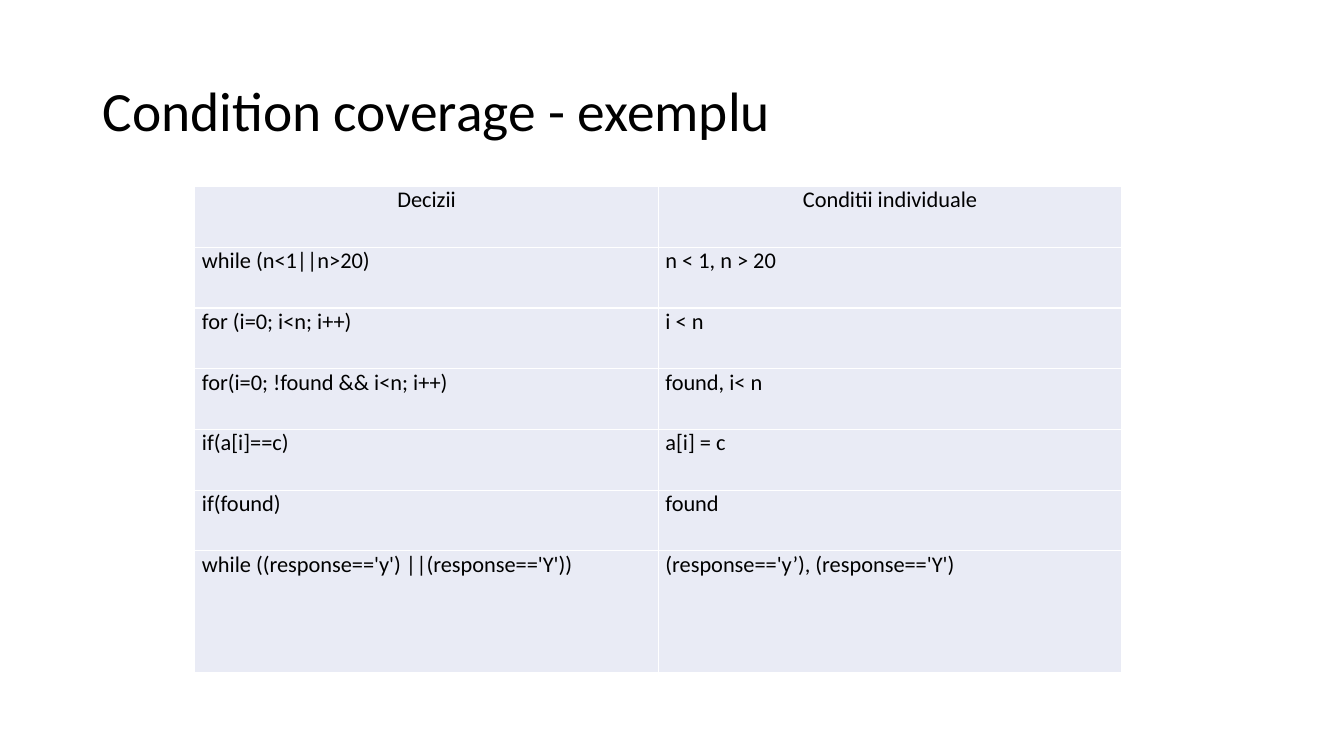
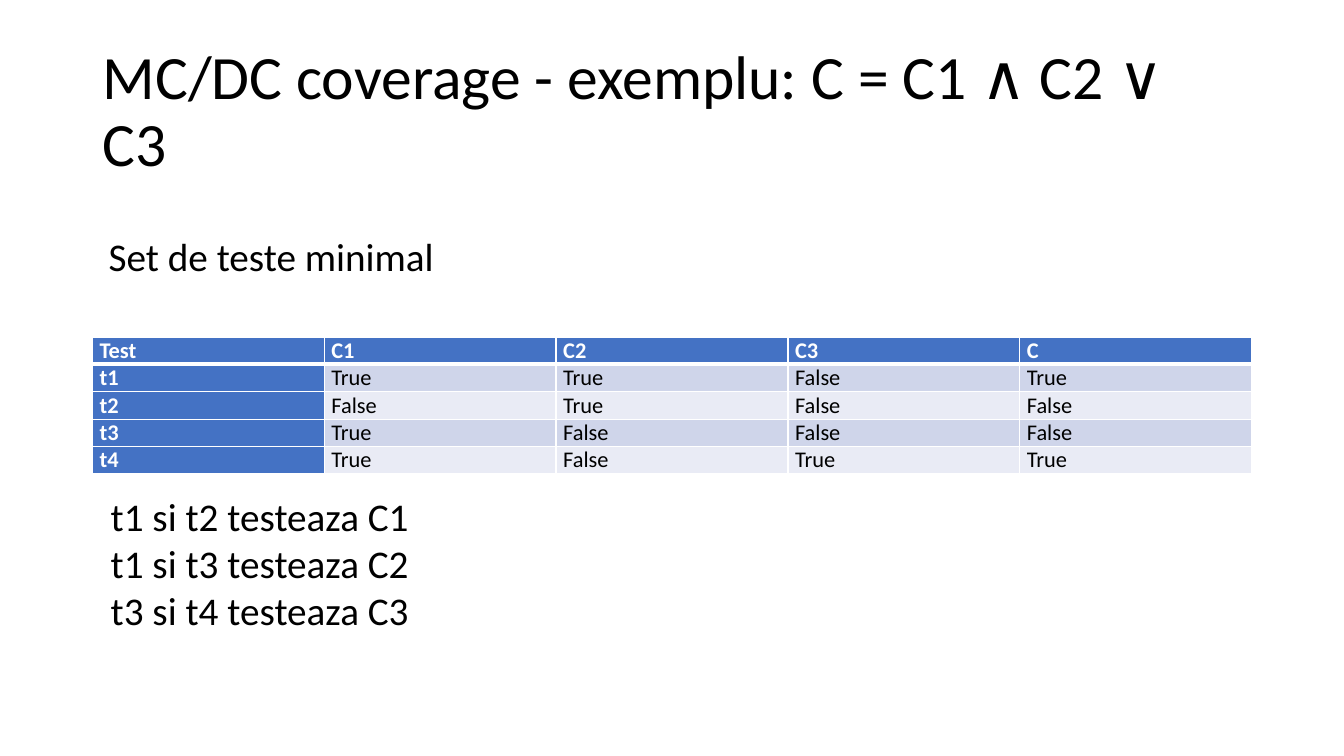
from lxml.etree import SubElement as Sub
from pptx import Presentation
from pptx.dml.color import RGBColor as RGB
from pptx.enum.text import MSO_ANCHOR as Anchor, MSO_AUTO_SIZE as Fit, PP_ALIGN as Align
from pptx.oxml.ns import qn
from pptx.util import Cm, Pt

HUES = {"text": "000000", "white": "FFFFFF", "head": "4472C4",
        "dark": "CFD5EA", "light": "E9EBF5"}
FONT = "Calibri"
LEFT, WIDE = 2.33, 29.21


def style(par, size, hue="text", bold=False):
    for run in par.runs:
        run.font.name, run.font.size, run.font.bold = FONT, Pt(size), bold
        run.font.color.rgb = RGB.from_string(HUES[hue])


def paint(cell, text, fill, hue="text", bold=False, base=1):
    """Fill one table cell; base is the width of its bottom border in points."""
    cell.margin_left = cell.margin_right = Cm(0.18)
    cell.margin_top = cell.margin_bottom = 0
    props = cell._tc.get_or_add_tcPr()
    for side, width in (("L", 1), ("R", 1), ("T", 1), ("B", base)):
        line = Sub(props, qn(f"a:ln{side}"), w=str(Pt(width)))
        Sub(Sub(line, qn("a:solidFill")), qn("a:srgbClr"), val=HUES["white"])
    cell.fill.solid()
    cell.fill.fore_color.rgb = RGB.from_string(HUES[fill])
    cell.text_frame.text = text
    style(cell.text_frame.paragraphs[0], 16, hue, bold)


deck = Presentation()
deck.slide_width, deck.slide_height = Cm(33.87), Cm(19.05)

# Titles
slides = []
for text, size in (("Condition coverage - exemplu", 39.6),
                   ("MC/DC coverage - exemplu: C = C1 ∧ C2 ∨ C3", 44)):
    slide = deck.slides.add_slide(deck.slide_layouts[5])
    title = slide.shapes.title
    title.left, title.top, title.width, title.height = Cm(LEFT), Cm(1.01), Cm(WIDE), Cm(3.68)
    frame = title.text_frame
    frame.text = text
    frame.auto_size, frame.vertical_anchor = Fit.NONE, Anchor.MIDDLE
    par = frame.paragraphs[0]
    par.alignment, par.line_spacing = Align.LEFT, 0.9
    style(par, size)
    slides.append(slide)
first, second = slides

# Decisions and their conditions
rows = [
    ("Decizii", "Conditii individuale"),
    ("while (n<1||n>20)", "n < 1, n > 20"),
    ("for (i=0; i<n; i++)", "i < n"),
    ("for(i=0; !found && i<n; i++)", "found, i< n"),
    ("if(a[i]==c)", "a[i] = c"),
    ("if(found)", "found"),
    ("while ((response=='y') ||(response=='Y'))", "(response=='y’), (response=='Y')"),
]
step = 1.53
table = first.shapes.add_table(len(rows), 2, Cm(4.91), Cm(4.7), Cm(23.36),
                               Cm(step * (len(rows) + 1))).table
table.first_row = table.horz_banding = False
for r, row in enumerate(rows):
    table.rows[r].height = Cm(step * 2 if r == len(rows) - 1 else step)
    for c, text in enumerate(row):
        cell = table.cell(r, c)
        paint(cell, text, "light")
        if r == 0:
            cell.text_frame.paragraphs[0].alignment = Align.CENTER

# Minimal test set
rows = [
    ("Test", "C1", "C2", "C3", "C"),
    ("t1", "True", "True", "False", "True"),
    ("t2", "False", "True", "False", "False"),
    ("t3", "True", "False", "False", "False"),
    ("t4", "True", "False", "True", "True"),
]
step = 0.69
table = second.shapes.add_table(len(rows), len(rows[0]), Cm(LEFT), Cm(8.49), Cm(WIDE),
                                Cm(step * len(rows))).table
table.first_row = table.horz_banding = False
for r, row in enumerate(rows):
    table.rows[r].height = Cm(step)
    for c, text in enumerate(row):
        cell = table.cell(r, c)
        if r == 0 or c == 0:
            paint(cell, text, "head", "white", True, base=3 if r == 0 else 1)
        else:
            paint(cell, text, "dark" if r % 2 else "light")

# Notes around the test set
for text, left, top, width, height, wrap in (
        ("Set de teste minimal", 2.49, 5.72, 11.76, 1.45, True),
        ("t1 si t2 testeaza C1\nt1 si t3 testeaza C2\nt3 si t4 testeaza C3",
         2.54, 12.27, 8.1, 4.62, False)):
    frame = second.shapes.add_textbox(Cm(left), Cm(top), Cm(width), Cm(height)).text_frame
    frame.text = text
    frame.word_wrap, frame.auto_size = wrap, Fit.SHAPE_TO_FIT_TEXT
    for par in frame.paragraphs:
        style(par, 28)

deck.save("out.pptx")
